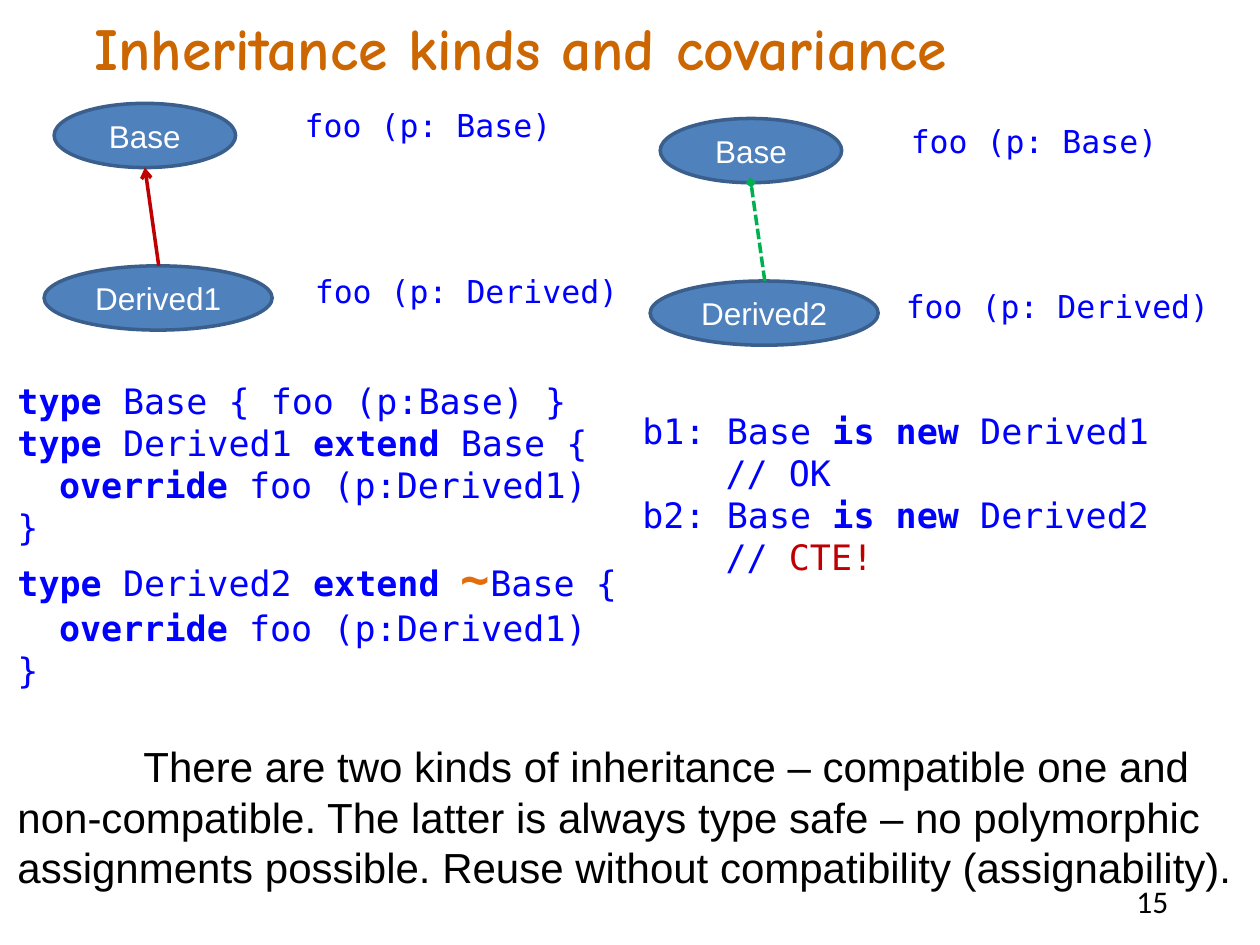
from dataclasses import dataclass, replace

from lxml.etree import SubElement
from pptx import Presentation
from pptx.dml.color import RGBColor
from pptx.enum.dml import MSO_LINE
from pptx.enum.shapes import MSO_CONNECTOR, MSO_SHAPE
from pptx.enum.text import MSO_ANCHOR, PP_ALIGN
from pptx.oxml.ns import qn
from pptx.util import Inches, Pt


def rgb(hex_color):
    return RGBColor.from_string(hex_color)


@dataclass(frozen=True)
class Ink:
    font: str
    size: int
    color: str
    bold: bool = False


@dataclass
class Line:
    runs: list
    margin: float = 0
    indent: float = 0
    before: int = 0


LABEL = Ink("Arial", 18, "FFFFFF")
SIGNATURE = Ink("DejaVu Sans Mono", 18, "0000FF")
CODE = replace(SIGNATURE, size=20)
KEYWORD = replace(CODE, bold=True)
TILDE = replace(KEYWORD, size=28, color="E46C0A")
ERROR = replace(CODE, color="C00000")
BODY = Ink("Arial", 24, "000000")
NUMBER = Ink("Calibri", 18, "000000")
TITLE = Ink("Comic Neue", 34, "CC6600", True)
CODE_STEP = 0.33


class SlideBuilder:
    node_fill = "4F81BD"
    node_border = "3A5F8C"
    stroke = Pt(2)

    def __init__(self, slide):
        self.slide = slide

    def fill_lines(self, frame, lines, align=PP_ALIGN.LEFT):
        frame.word_wrap = True
        for index, line in enumerate(lines):
            paragraph = frame.add_paragraph() if index else frame.paragraphs[0]
            paragraph.alignment = align
            if line.before:
                paragraph.space_before = Pt(line.before)
            properties = paragraph._p.get_or_add_pPr()
            properties.set("marL", str(Inches(line.margin)))
            properties.set("indent", str(Inches(line.indent)))
            for words, ink in line.runs:
                run = paragraph.add_run()
                run.text = words
                run.font.name = ink.font
                run.font.size = Pt(ink.size)
                run.font.bold = ink.bold
                run.font.color.rgb = rgb(ink.color)

    def text(self, left, top, width, height, lines):
        box = self.slide.shapes.add_textbox(
            Inches(left), Inches(top), Inches(width), Inches(height))
        self.fill_lines(box.text_frame, lines)
        return box.text_frame

    def node(self, left, top, width, name):
        ellipse = self.slide.shapes.add_shape(
            MSO_SHAPE.OVAL, Inches(left), Inches(top), Inches(width), Inches(0.51))
        ellipse.shadow.inherit = False
        ellipse.fill.solid()
        ellipse.fill.fore_color.rgb = rgb(self.node_fill)
        ellipse.line.color.rgb = rgb(self.node_border)
        ellipse.line.width = self.stroke
        ellipse.text_frame.vertical_anchor = MSO_ANCHOR.MIDDLE
        self.fill_lines(ellipse.text_frame, [Line([(name, LABEL)])], PP_ALIGN.CENTER)

    def arrow(self, start, end, color, head, dash=None):
        link = self.slide.shapes.add_connector(
            MSO_CONNECTOR.STRAIGHT, *(Inches(value) for value in start + end))
        link.line.color.rgb = rgb(color)
        link.line.width = self.stroke
        if dash:
            link.line.dash_style = dash
        outline = link._element.spPr.find(qn("a:ln"))
        SubElement(outline, qn("a:tailEnd"), type=head)
        SubElement(link._element.spPr, qn("a:effectLst"))

    def hierarchy(self, left, top, derived, color, head, dash=None):
        self.node(left + 0.08, top, 1.44, "Base")
        self.node(left, top + 1.29, 1.81, derived)
        self.arrow((left + 0.91, top + 1.29), (left + 0.8, top + 0.51),
                   color, head, dash)

    def signature(self, left, top, width, parameter):
        self.text(left, top, width, 0.4, [Line([(f"foo (p: {parameter})", SIGNATURE)])])


def override_body():
    return [
        Line([("override", KEYWORD), (" foo (p:Derived1)", CODE)], margin=CODE_STEP),
        Line([("}", CODE)]),
    ]


def creation(variable, derived, comment):
    return [
        Line([(f"{variable}: Base ", CODE), ("is new", KEYWORD), (f" {derived}", CODE)]),
        Line([("// ", CODE), comment], margin=2 * CODE_STEP),
    ]


def main():
    deck = Presentation()
    deck.slide_width, deck.slide_height = Inches(10), Inches(7.5)
    builder = SlideBuilder(deck.slides.add_slide(deck.slide_layouts[6]))

    title = builder.text(0.75, 0.01, 9, 0.72,
                         [Line([("Inheritance kinds and covariance", TITLE)])])
    title.vertical_anchor = MSO_ANCHOR.MIDDLE
    title.margin_left = title.margin_right = 0

    builder.hierarchy(0.35, 0.82, "Derived1", "C00000", "arrow")
    builder.signature(2.32, 0.79, 2.52, "Base")
    builder.signature(2.4, 2.11, 2.68, "Derived")

    builder.hierarchy(5.16, 0.94, "Derived2", "00B050", "diamond", MSO_LINE.SQUARE_DOT)
    builder.signature(7.13, 0.92, 2.52, "Base")
    builder.signature(7.09, 2.23, 2.68, "Derived")

    conclusion = (
        "There are two kinds of inheritance – compatible one and non-compatible. "
        "The latter is always type safe – no polymorphic assignments possible. "
        "Reuse without compatibility (assignability)."
    )
    builder.text(0.04, 2.96, 9.85, 4.21, [
        Line([("type", KEYWORD), (" Base { foo (p:Base) }", CODE)]),
        Line([("type", KEYWORD), (" Derived1 ", CODE), ("extend", KEYWORD),
              (" Base {", CODE)]),
        *override_body(),
        Line([("type ", KEYWORD), ("Derived2 ", CODE), ("extend ", KEYWORD),
              ("~", TILDE), ("Base {", CODE)]),
        *override_body(),
        Line([(conclusion, BODY)], indent=1, before=29),
    ])
    builder.text(5, 3.2, 4.78, 1.45, [
        *creation("b1", "Derived1", ("OK", CODE)),
        *creation("b2", "Derived2", ("CTE!", ERROR)),
    ])
    builder.text(8.92, 6.95, 0.58, 0.4, [Line([("15", NUMBER)])])

    deck.save("out.pptx")


if __name__ == "__main__":
    main()
